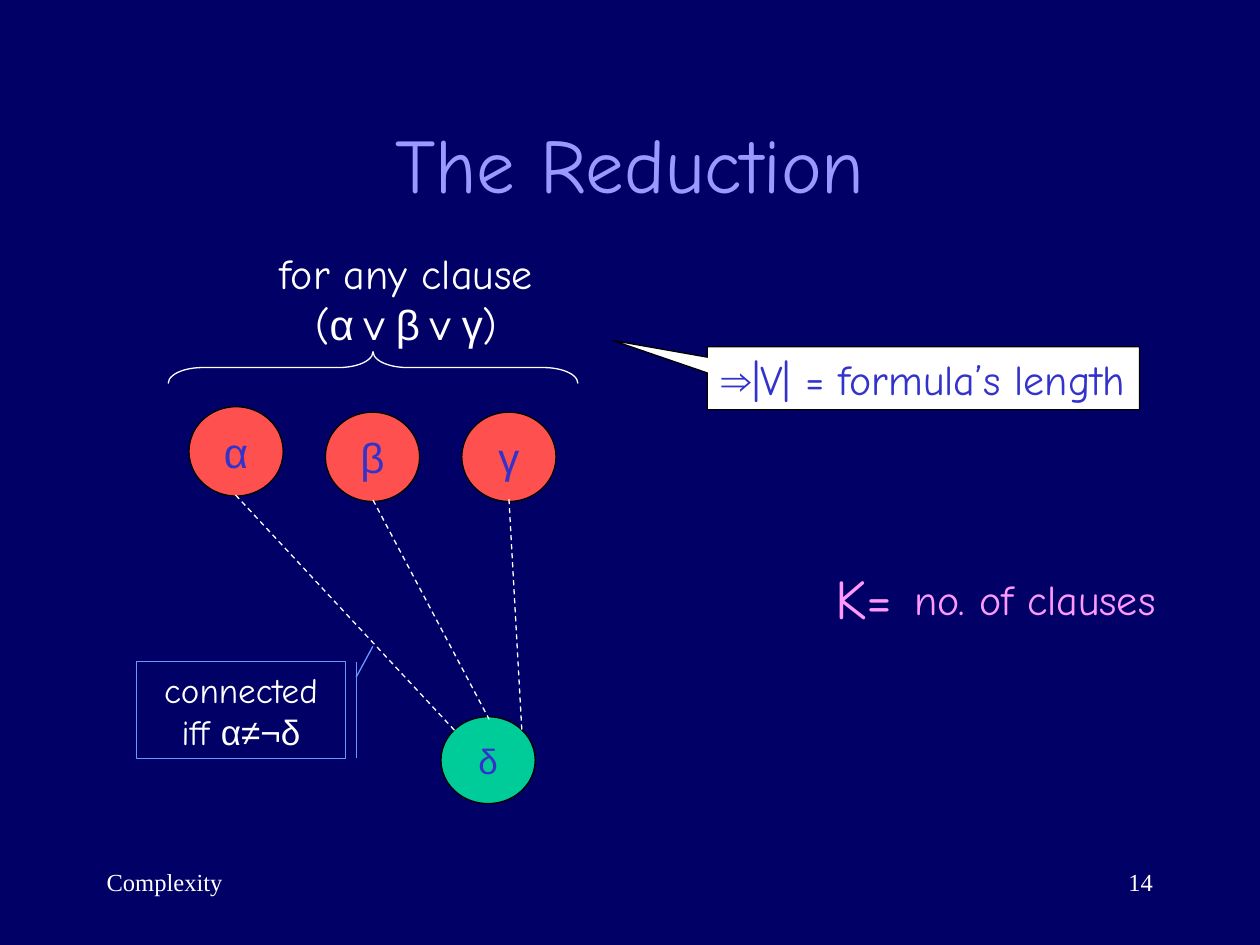
from lxml.etree import SubElement
from pptx import Presentation
from pptx.dml.color import RGBColor
from pptx.enum.dml import MSO_LINE
from pptx.enum.shapes import MSO_CONNECTOR, MSO_SHAPE
from pptx.enum.text import MSO_ANCHOR, PP_ALIGN
from pptx.oxml.ns import qn
from pptx.util import Cm, Pt

BACKGROUND, TITLE = "000066", "9999FF"
WHITE, BLACK, BLUE = "FFFFFF", "000000", "3333CC"
RED, GREEN, PINK, LIGHT_BLUE = "FF5050", "00CC99", "FF99FF", "6699FF"
HAND, SANS, SERIF = "Comic Neue", "Arial", "Times New Roman"


def color(value):
    return RGBColor.from_string(value)


def write(shape, runs, size, text_color, align=PP_ALIGN.CENTER,
          anchor=MSO_ANCHOR.MIDDLE, wrap=True, space_before=0):
    """Fill a shape with (text, font) runs; a newline is a line break."""
    frame = shape.text_frame
    frame.word_wrap = wrap
    frame.vertical_anchor = anchor
    paragraph = frame.paragraphs[0]
    paragraph.alignment = align
    paragraph.space_before = Pt(space_before)
    paragraph.font.size = Pt(size)
    paragraph.font.color.rgb = color(text_color)
    paragraph.font.name = runs[0][1]
    for text, font in runs:
        if text == "\n":
            paragraph.add_line_break()
            continue
        run = paragraph.add_run()
        run.text = text
        if len(runs) > 1:
            run.font.name = font


def add_text(slide, box, runs, size, text_color, **options):
    shape = slide.shapes.add_textbox(*map(Cm, box))
    write(shape, runs, size, text_color, **options)


def add_figure(slide, kind, box, line, fill=None, adjustments=()):
    shape = slide.shapes.add_shape(kind, *map(Cm, box))
    shape.shadow.inherit = False
    if fill:
        shape.fill.solid()
        shape.fill.fore_color.rgb = color(fill)
    else:
        shape.fill.background()
    shape.line.color.rgb = color(line)
    shape.line.width = Pt(0.75)
    for index, value in enumerate(adjustments):
        shape.adjustments[index] = value
    return shape


def add_node(slide, left, top, height, letter, size, fill):
    node = add_figure(slide, MSO_SHAPE.OVAL, (left, top, 1.9, height), BLACK, fill)
    write(node, [(letter, SANS)], size, BLUE, space_before=size * 0.625)


def add_edge(slide, *ends):
    edge = slide.shapes.add_connector(MSO_CONNECTOR.STRAIGHT, *map(Cm, ends))
    edge.line.color.rgb = color(WHITE)
    edge.line.width = Pt(0.75)
    edge.line.dash_style = MSO_LINE.DASH
    SubElement(edge._element.spPr, qn("a:effectLst"))


def add_clause(slide):
    for index, (letter, top) in enumerate([("α", 8.2), ("β", 8.31), ("γ", 8.31)]):
        add_node(slide, 3.81 + 2.75 * index, top, 1.8, letter, 24, RED)
    brace = add_figure(slide, MSO_SHAPE.LEFT_BRACE, (7.2, 3.28, 0.64, 8.26),
                       WHITE, adjustments=(1.08, 0.5))
    brace.rotation = 90
    add_text(slide, (3.94, 5.38, 8.5, 1.27),
             [("for any clause", HAND), ("\n", HAND), ("(", HAND),
              ("α∨β∨γ", SANS), (")", HAND)],
             24, WHITE, wrap=False, space_before=15)


def add_connections(slide):
    add_node(slide, 8.89, 14.45, 1.75, "δ", 20, GREEN)
    add_edge(slide, 4.75, 9.98, 9.17, 14.73)
    add_edge(slide, 7.52, 10.08, 9.86, 14.5)
    add_edge(slide, 10.26, 10.06, 10.52, 14.73)
    note = add_figure(slide, MSO_SHAPE.LINE_CALLOUT_1_BORDER_AND_ACCENT_BAR,
                      (2.75, 13.34, 4.22, 1.95), LIGHT_BLUE,
                      adjustments=(0.16, 1.05, -0.16, 1.13))
    write(note, [("connected iff ", HAND), ("α≠¬δ", SANS)], 20, WHITE,
          space_before=12.5)


def add_sizes(slide):
    callout = add_figure(slide, MSO_SHAPE.RECTANGULAR_CALLOUT,
                         (14.26, 6.99, 8.71, 1.27), BLACK, WHITE, (-0.72, -0.6))
    write(callout, [("⇒", SANS), ("|V| = formula’s length", HAND)], 24, BLUE,
          wrap=False, space_before=15)
    add_text(slide, (16.32, 11.23, 2.2, 1.63), [("K=", HAND)], 32, PINK,
             wrap=False, space_before=20)
    add_text(slide, (17.78, 11.43, 6.17, 1.27), [("no. of clauses", HAND)],
             24, PINK, space_before=15)


def add_footer(slide):
    for left, text, align in [(1.9, "Complexity", PP_ALIGN.LEFT),
                              (18.21, "14", PP_ALIGN.RIGHT)]:
        add_text(slide, (left, 17.35, 5.28, 1.27), [(text, SERIF)], 14, WHITE,
                 align=align, anchor=MSO_ANCHOR.TOP)


def main():
    presentation = Presentation()
    presentation.slide_width, presentation.slide_height = Cm(25.4), Cm(19.05)
    slide = presentation.slides.add_slide(presentation.slide_layouts[6])
    slide.background.fill.solid()
    slide.background.fill.fore_color.rgb = color(BACKGROUND)
    add_text(slide, (1.9, 1.7, 21.6, 3.18), [("The Reduction", HAND)], 44, TITLE)
    add_clause(slide)
    add_connections(slide)
    add_sizes(slide)
    add_footer(slide)
    presentation.save("out.pptx")


if __name__ == "__main__":
    main()
